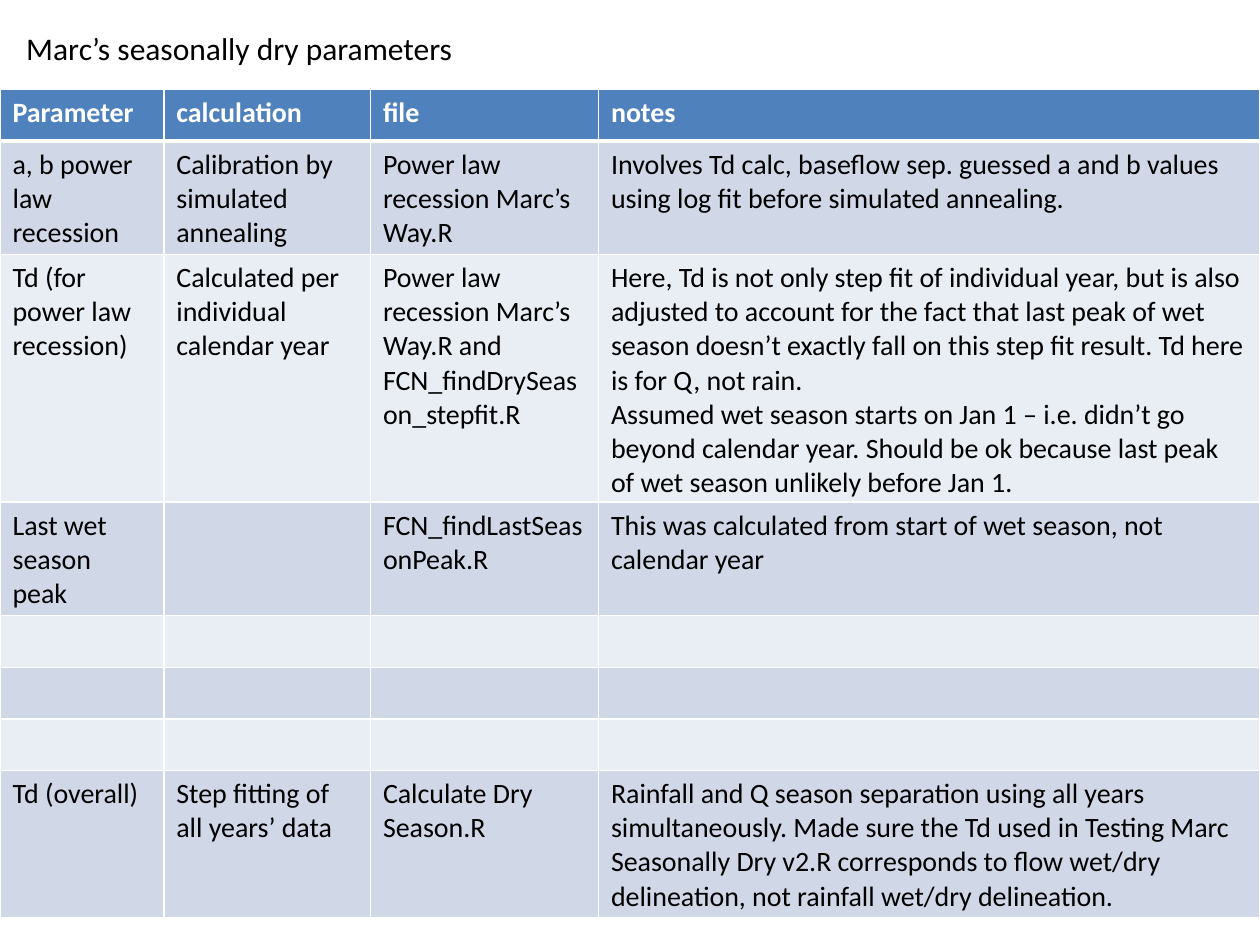
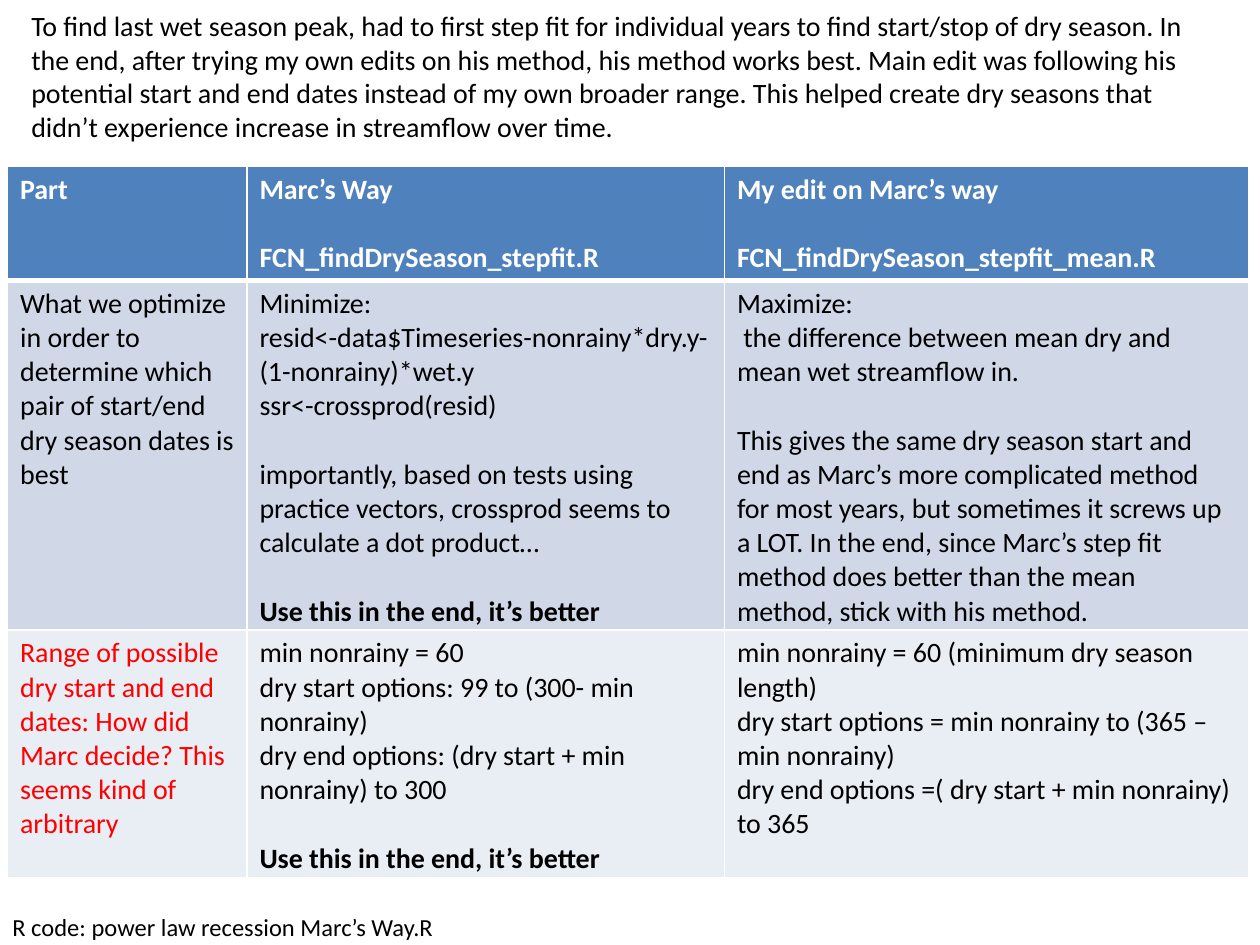
from lxml.etree import SubElement
from pptx import Presentation
from pptx.dml.color import RGBColor
from pptx.enum.text import MSO_AUTO_SIZE
from pptx.oxml.ns import qn
from pptx.util import Inches, Pt

FONT = "Calibri"
BLACK = RGBColor(0x00, 0x00, 0x00)
WHITE = RGBColor(0xFF, 0xFF, 0xFF)
RED = RGBColor(0xFF, 0x00, 0x00)
HEADER_BLUE = RGBColor(0x4F, 0x81, 0xBD)
ROW_BANDS = (RGBColor(0xD0, 0xD8, 0xE8), RGBColor(0xE9, 0xED, 0xF4))

TABLE_SIZE = 16
LINE_GAP = Pt(19.5)
ROW_HEIGHT = 0.41
THIN, THICK = 1, 3
RECOMMENDATION = "Use this in the end, it’s better"

PARAMETER_ROWS = [
    ["Parameter", "calculation", "file", "notes"],
    ["a, b power law recession",
     "Calibration by simulated annealing",
     "Power law recession Marc’s Way.R",
     "Involves Td calc, baseflow sep. guessed a and b values using log fit "
     "before simulated annealing."],
    ["Td (for power law recession)",
     "Calculated per individual calendar year",
     "Power law recession Marc’s Way.R and FCN_findDrySeason_stepfit.R",
     "Here, Td is not only step fit of individual year, but is also adjusted "
     "to account for the fact that last peak of wet season doesn’t exactly "
     "fall on this step fit result. Td here is for Q, not rain.\n"
     "Assumed wet season starts on Jan 1 – i.e. didn’t go beyond calendar "
     "year. Should be ok because last peak of wet season unlikely before Jan 1."],
    ["Last wet season peak",
     "",
     "FCN_findLastSeasonPeak.R",
     "This was calculated from start of wet season, not calendar year"],
    *[[""] * 4 for _ in range(3)],
    ["Td (overall)",
     "Step fitting of all years’ data",
     "Calculate Dry Season.R",
     "Rainfall and Q season separation using all years simultaneously. Made "
     "sure the Td used in Testing Marc Seasonally Dry v2.R corresponds to flow "
     "wet/dry delineation, not rainfall wet/dry delineation."],
]

METHOD_ROWS = [
    ["Part",
     "Marc’s Way\n\nFCN_findDrySeason_stepfit.R",
     "My edit on Marc’s way\n\nFCN_findDrySeason_stepfit_mean.R"],
    ["What we optimize in order to determine which pair of start/end dry "
     "season dates is best",
     "Minimize:\n"
     "resid<-data$Timeseries-nonrainy*dry.y-(1-nonrainy)*wet.y\n"
     "ssr<-crossprod(resid)\n\n"
     "importantly, based on tests using practice vectors, crossprod seems to "
     f"calculate a dot product…\n\n{RECOMMENDATION}",
     "Maximize:\n"
     " the difference between mean dry and mean wet streamflow in.\n\n"
     "This gives the same dry season start and end as Marc’s more complicated "
     "method for most years, but sometimes it screws up a LOT. In the end, "
     "since Marc’s step fit method does better than the mean method, stick "
     "with his method."],
    ["Range of possible dry start and end dates: How did Marc decide? This "
     "seems kind of arbitrary",
     "min nonrainy = 60\n"
     "dry start options: 99 to (300- min nonrainy)\n"
     "dry end options: (dry start + min nonrainy) to 300\n\n"
     f"{RECOMMENDATION}",
     "min nonrainy = 60 (minimum dry season length)\n"
     "dry start options = min nonrainy to (365 – min nonrainy)\n"
     "dry end options =( dry start + min nonrainy) to 365"],
]

METHOD_SUMMARY = (
    "To find last wet season peak, had to first step fit for individual years "
    "to find start/stop of dry season. In the end, after trying my own edits on "
    "his method, his method works best. Main edit was following his potential "
    "start and end dates instead of my own broader range. This helped create "
    "dry seasons that didn’t experience increase in streamflow over time.")


class Deck:
    """Holds the shared style and the slide being built."""

    def __init__(self):
        self.presentation = Presentation()
        self.presentation.slide_width = Inches(10)
        self.presentation.slide_height = Inches(7.5)
        self.slide = None

    def new_slide(self):
        blank_layout = self.presentation.slide_layouts[6]
        self.slide = self.presentation.slides.add_slide(blank_layout)

    def fill_text(self, text_frame, text, size, color=BLACK, bold=False):
        """Fill a frame; a blank line in text becomes space before the next paragraph."""
        paragraph = None
        for block in text.split("\n\n"):
            for position, line in enumerate(block.split("\n")):
                starts_block = paragraph is not None and position == 0
                paragraph = (text_frame.paragraphs[0] if paragraph is None
                             else text_frame.add_paragraph())
                paragraph.text = line
                if starts_block:
                    paragraph.space_before = LINE_GAP
                font = paragraph.font
                font.name = FONT
                font.size = Pt(size)
                font.bold = bold or line == RECOMMENDATION
                font.color.rgb = color

    def text(self, text, left, top, width, height, size, wrap=False):
        box = self.slide.shapes.add_textbox(
            Inches(left), Inches(top), Inches(width), Inches(height))
        box.text_frame.word_wrap = wrap
        box.text_frame.auto_size = MSO_AUTO_SIZE.SHAPE_TO_FIT_TEXT
        self.fill_text(box.text_frame, text, size)

    def border(self, cell, top, bottom):
        properties = cell._tc.get_or_add_tcPr()
        sides = {"lnL": THIN, "lnR": THIN, "lnT": top, "lnB": bottom}
        for side, points in sides.items():
            line = SubElement(properties, qn(f"a:{side}"), w=str(Pt(points)))
            fill = SubElement(line, qn("a:solidFill"))
            SubElement(fill, qn("a:srgbClr"), val=str(WHITE))

    def table(self, rows, left, top, column_widths, height, red_cells=()):
        """Draw a banded table whose rows grow to fit their text."""
        frame = self.slide.shapes.add_table(
            len(rows), len(column_widths), Inches(left), Inches(top),
            Inches(sum(column_widths)), Inches(height))
        table = frame.table
        for column, width in zip(table.columns, column_widths):
            column.width = Inches(width)
        for row_index, texts in enumerate(rows):
            table.rows[row_index].height = Inches(ROW_HEIGHT)
            header = row_index == 0
            for column_index, text in enumerate(texts):
                cell = table.cell(row_index, column_index)
                self.border(cell, top=THICK if row_index == 1 else THIN,
                            bottom=THICK if header else THIN)
                cell.fill.solid()
                cell.fill.fore_color.rgb = (
                    HEADER_BLUE if header else ROW_BANDS[(row_index - 1) % 2])
                if text:
                    red = (row_index, column_index) in red_cells
                    color = WHITE if header else RED if red else BLACK
                    self.fill_text(cell.text_frame, text, TABLE_SIZE, color, header)
        frame.height = Inches(height)


def build_parameters_slide(deck):
    deck.new_slide()
    deck.text("Marc’s seasonally dry parameters", 0.11, 0.18, 3.65, 0.4, 18)
    deck.table(PARAMETER_ROWS, 0, 0.71, [1.3, 1.64, 1.81, 5.25], 6.56)


def build_methods_slide(deck):
    deck.new_slide()
    deck.text(METHOD_SUMMARY, 0.15, 0.02, 9.48, 1.18, 16, wrap=True)
    deck.table(METHOD_ROWS, 0.06, 1.32, [1.9, 3.79, 4.16], 5.63,
               red_cells={(2, 0)})
    deck.text("R code: power law recession Marc’s Way.R", 0, 7.19, 3.61, 0.34, 14)


def main():
    deck = Deck()
    build_parameters_slide(deck)
    build_methods_slide(deck)
    deck.presentation.save("out.pptx")


if __name__ == "__main__":
    main()
